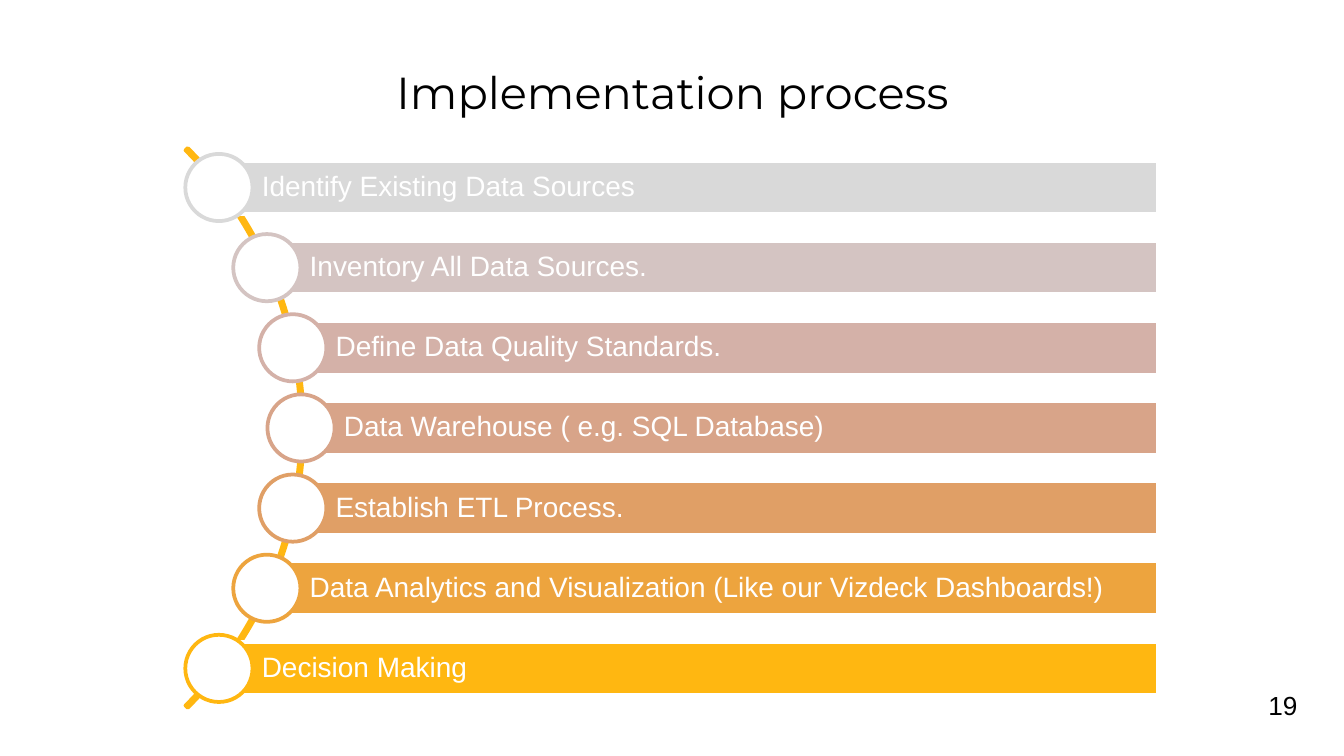
import math

from pptx import Presentation
from pptx import util as u
from pptx.dml.color import RGBColor
from pptx.enum import shapes, text

TITLE = "Implementation process"
PAGE_NUMBER = "19"
STEPS = [
    ("Identify Existing Data Sources", "D9D9D9"),
    ("Inventory All Data Sources.", "D4C4C2"),
    ("Define Data Quality Standards.", "D4B1A8"),
    ("Data Warehouse ( e.g. SQL Database)", "D8A489"),
    ("Establish ETL Process.", "E09F66"),
    ("Data Analytics and Visualization (Like our Vizdeck Dashboards!)", "EDA43E"),
    ("Decision Making", "FFB711"),
]
COLORS = {"text": "000000", "white": "FFFFFF", "arc": "FFB711"}

# Geometry in centimetres
ARC_X, ARC_Y, ARC_RADIUS = -1.74, 8.09, 7.48
STEP_RADIUS, STEP_PITCH = 7.43, 1.515
BAR_RIGHT, BAR_HEIGHT, DOT_SIZE = 21.89, 1.01, 1.27


def rgb(color):
    return RGBColor.from_string(color)


def box(*lengths):
    return [u.Cm(length) for length in lengths]


def format_text(frame, size, font_name, color, align=text.PP_ALIGN.LEFT):
    paragraph = frame.paragraphs[0]
    paragraph.alignment = align
    font = paragraph.runs[0].font
    font.size, font.name = u.Pt(size), font_name
    font.color.rgb = rgb(color)


def add_outlined(slide, kind, place, line, fill=None):
    shape = slide.shapes.add_shape(kind, *box(*place))
    shape.shadow.inherit = False
    if fill:
        shape.fill.solid()
        shape.fill.fore_color.rgb = rgb(fill)
    else:
        shape.fill.background()
    shape.line.color.rgb = rgb(line)
    shape.line.width = u.Pt(2)
    return shape


def add_step(slide, label, color, center_x, center_y):
    bar = add_outlined(
        slide, shapes.MSO_SHAPE.RECTANGLE,
        (center_x, center_y - BAR_HEIGHT / 2, BAR_RIGHT - center_x, BAR_HEIGHT),
        COLORS["white"], color)
    frame = bar.text_frame
    frame.text = label
    frame.word_wrap = True
    frame.vertical_anchor = text.MSO_ANCHOR.MIDDLE
    frame.margin_left = u.Cm(0.81)
    frame.margin_top = frame.margin_right = frame.margin_bottom = u.Cm(0.1)
    frame.paragraphs[0].line_spacing = 0.9
    format_text(frame, 15, "Arial", COLORS["white"])

    add_outlined(
        slide, shapes.MSO_SHAPE.OVAL,
        (center_x - DOT_SIZE / 2, center_y - DOT_SIZE / 2, DOT_SIZE, DOT_SIZE),
        color, COLORS["white"])


def main():
    prs = Presentation()
    prs.slide_width, prs.slide_height = box(25.4, 14.29)
    slide = prs.slides.add_slide(prs.slide_layouts[5])

    # Title
    title = slide.shapes.title
    title.left, title.top, title.width, title.height = box(6.4, 0.94, 12.62, 1.6)
    title.text_frame.text = TITLE
    title.text_frame.auto_size = text.MSO_AUTO_SIZE.NONE
    title.text_frame.vertical_anchor = text.MSO_ANCHOR.MIDDLE
    format_text(title.text_frame, 24, "Montserrat", COLORS["text"], text.PP_ALIGN.CENTER)

    # Arc that the steps follow, from 315 to 45 degrees
    arc = add_outlined(
        slide, shapes.MSO_SHAPE.BLOCK_ARC,
        (ARC_X - ARC_RADIUS, ARC_Y - ARC_RADIUS, 2 * ARC_RADIUS, 2 * ARC_RADIUS),
        COLORS["arc"])
    for index, value in enumerate((189, 27, 0.004)):
        arc.adjustments[index] = value

    # Steps, evenly spaced in height with their dots on the arc
    middle = (len(STEPS) - 1) / 2
    for index, (label, color) in enumerate(STEPS):
        rise = (index - middle) * STEP_PITCH
        reach = math.sqrt(STEP_RADIUS ** 2 - rise ** 2)
        add_step(slide, label, color, ARC_X + reach, ARC_Y + rise)

    # Page number
    page = slide.shapes.add_textbox(*box(23.72, 12.9, 1.45, 0.86))
    page.text_frame.text = PAGE_NUMBER
    page.text_frame.word_wrap = True
    format_text(page.text_frame, 14, "Arial", COLORS["text"])

    prs.save("out.pptx")


if __name__ == "__main__":
    main()
